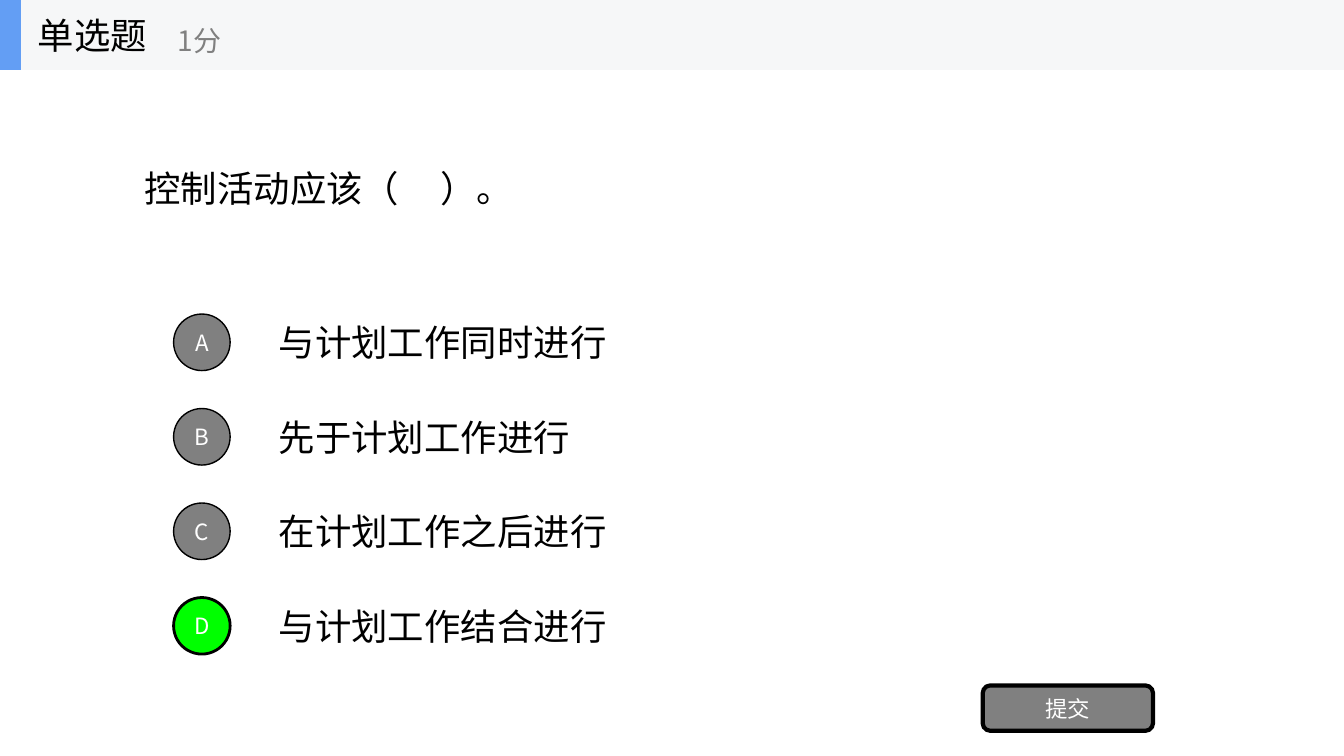
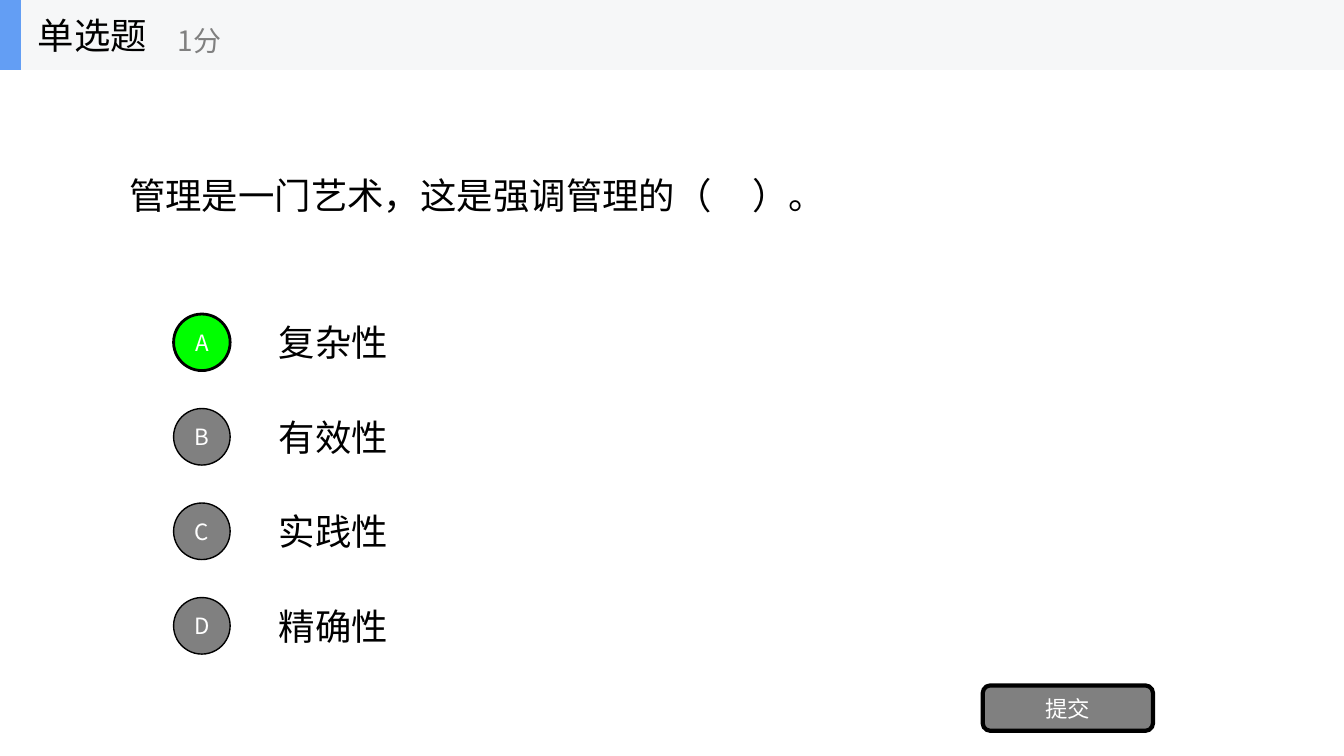
import pptx
import pptx.dml.color
import pptx.enum.shapes
import pptx.enum.text
import pptx.oxml.ns
import pptx.util
from lxml import etree

Pt = pptx.util.Pt
Align = pptx.enum.text.PP_ALIGN
Shapes = pptx.enum.shapes.MSO_SHAPE

FONT = "Noto Sans CJK SC"
BLACK, WHITE, GRAY = "000000", "FFFFFF", "808080"
BAND, ACCENT, CORRECT = "F6F7F8", "639EF4", "00FF00"
SLIDE_WIDTH, SLIDE_HEIGHT = 960, 540
TEXT_SIZE, LABEL_SIZE, POINTS_SIZE = 26, 16, 20
TITLE_ONLY = 5

# question, left and top of its box, options, index of the correct option
QUESTIONS = [
    ("控制活动应该（     ）。", 96, 50,
     ["与计划工作同时进行", "先于计划工作进行", "在计划工作之后进行", "与计划工作结合进行"], 3),
    ("管理是一门艺术，这是强调管理的（     ）。", 85, 55,
     ["复杂性", "有效性", "实践性", "精确性"], 0),
]


def color(hex_string):
    return pptx.dml.color.RGBColor.from_string(hex_string)


def write(shape, text, size, font_color, alignment=Align.LEFT):
    """Put one vertically centred paragraph into a shape."""
    frame = shape.text_frame
    frame.word_wrap = True
    frame.auto_size = pptx.enum.text.MSO_AUTO_SIZE.NONE
    frame.vertical_anchor = pptx.enum.text.MSO_ANCHOR.MIDDLE
    paragraph = frame.paragraphs[0]
    paragraph.text = text
    paragraph.alignment = alignment
    font = paragraph.font
    font.size = Pt(size)
    font.name = FONT
    font.color.rgb = color(font_color)
    # East Asian typeface
    qn = pptx.oxml.ns.qn
    properties = paragraph._p.pPr.find(qn("a:defRPr"))
    etree.SubElement(properties, qn("a:ea")).set("typeface", FONT)


def add_text(shapes, box, text, size=TEXT_SIZE, font_color=BLACK):
    write(shapes.add_textbox(*map(Pt, box)), text, size, font_color)


def add_block(shapes, preset, box, fill, line_width=0):
    shape = shapes.add_shape(preset, *map(Pt, box))
    shape.shadow.inherit = False
    shape.fill.solid()
    shape.fill.fore_color.rgb = color(fill)
    if line_width:
        shape.line.color.rgb = color(BLACK)
        shape.line.width = Pt(line_width)
    else:
        shape.line.fill.background()
    return shape


def add_header(slide, left, top, width, height):
    """Grouped band with question type and points."""
    shapes = slide.shapes.add_group_shape().shapes
    add_block(shapes, Shapes.RECTANGLE, (left, top, width, height), BAND)
    add_block(shapes, Shapes.RECTANGLE, (left, top, 15, height), ACCENT)
    add_text(shapes, (left + 20, top, 150, height), "单选题")
    add_text(shapes, (left + 120, top + 9, 180, height - 10), "1分", POINTS_SIZE, GRAY)


def add_question(slide, left, top, width, height, text):
    title = slide.shapes.title
    title.left, title.top, title.width, title.height = map(Pt, (left, top, width, height))
    write(title, text, TEXT_SIZE, BLACK)


def add_options(slide, left, top, width, pitch, options, correct):
    """One row per option: round letter badge, then the answer."""
    row_height, badge_size, text_indent = 50, 40.4, 68
    for index, (letter, option) in enumerate(zip("ABCD", options)):
        row_top = top + index * pitch
        add_text(slide.shapes,
                 (left + text_indent, row_top, width - text_indent, row_height), option)
        badge_top = row_top + (row_height - badge_size) / 2
        fill, line_width = (CORRECT, 2) if index == correct else (GRAY, 1)
        badge = add_block(slide.shapes, Shapes.OVAL,
                          (left, badge_top, badge_size, badge_size), fill, line_width)
        write(badge, letter, LABEL_SIZE, WHITE, Align.CENTER)


def add_submit_button(slide, left, top, width, height):
    button = add_block(slide.shapes, Shapes.ROUNDED_RECTANGLE,
                       (left, top, width, height), GRAY, 3)
    write(button, "提交", LABEL_SIZE, WHITE, Align.CENTER)


def add_question_slide(presentation, question, left, top, options, correct):
    slide = presentation.slides.add_slide(presentation.slide_layouts[TITLE_ONLY])
    add_question(slide, left, top, 768, 168, question)
    add_options(slide, 124, 219.5, 740, 67.5, options, correct)
    add_submit_button(slide, 702, 489.6, 121.6, 32.4)
    add_header(slide, 0, 0, SLIDE_WIDTH, 50)


def main():
    presentation = pptx.Presentation()
    presentation.slide_width = Pt(SLIDE_WIDTH)
    presentation.slide_height = Pt(SLIDE_HEIGHT)
    for question in QUESTIONS:
        add_question_slide(presentation, *question)
    presentation.save("out.pptx")


if __name__ == "__main__":
    main()
